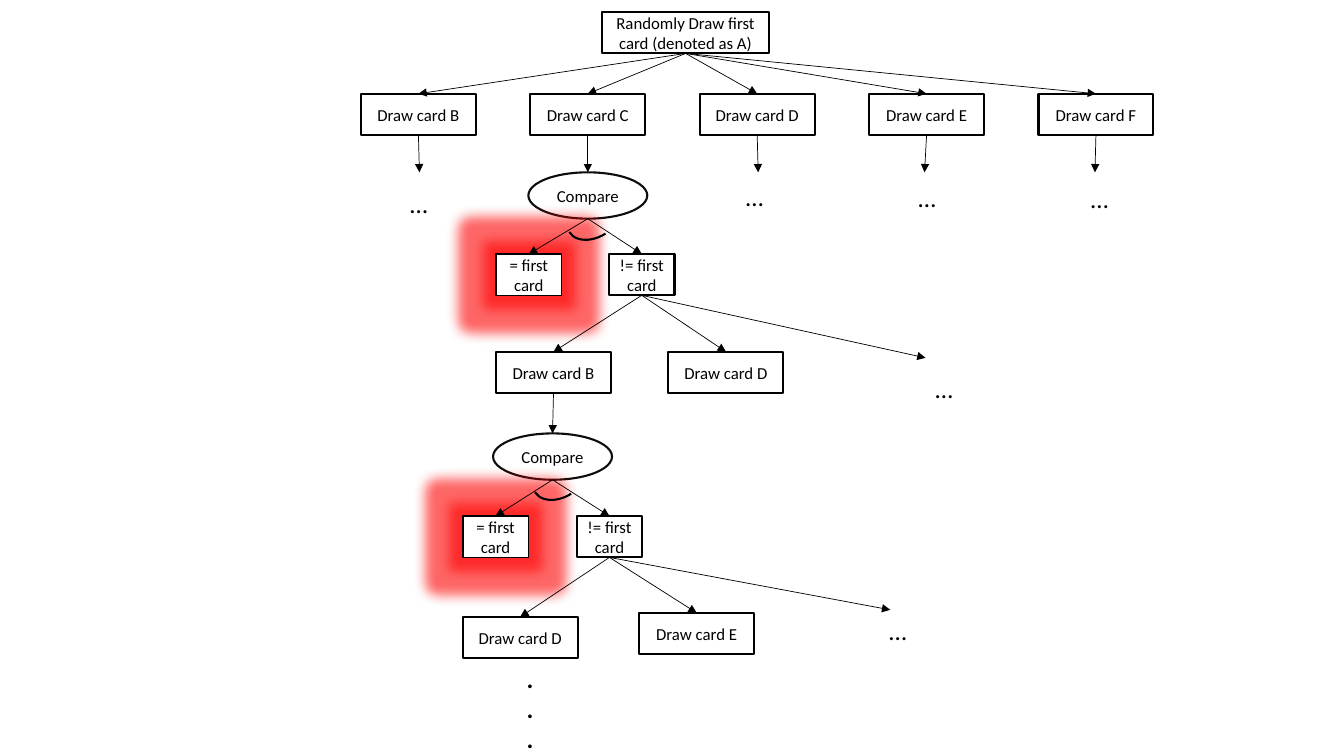
from lxml.etree import SubElement
from pptx import Presentation
from pptx.dml.color import RGBColor
from pptx.enum.shapes import MSO_CONNECTOR as Connector, MSO_SHAPE as Shape
from pptx.enum.text import MSO_ANCHOR as Anchor, MSO_AUTO_SIZE as AutoSize, PP_ALIGN as Align
from pptx.oxml.ns import qn
from pptx.util import Inches, Pt

COLORS = {"ink": "000000", "oval": "0D0D0D", "paper": "FFFFFF", "glow": "FF0000"}
FONT = "Calibri"

KINDS = {
    "root": {"shape": Shape.RECTANGLE, "size": (1.66, 0.41), "line": "ink", "weight": 1.5},
    "draw": {"shape": Shape.RECTANGLE, "size": (1.14, 0.41), "line": "ink", "weight": 1.5},
    "compare": {"shape": Shape.OVAL, "size": (1.18, 0.46), "line": "oval", "weight": 1.5},
    "equal": {"shape": Shape.RECTANGLE, "size": (0.65, 0.41), "line": "ink", "weight": 1},
    "unequal": {"shape": Shape.RECTANGLE, "size": (0.65, 0.41), "line": "ink", "weight": 1.5},
    "arc": {"shape": Shape.ARC, "size": (0.59, 0.41), "line": "ink", "weight": 1.5},
}

SECOND_CARDS = "BCDEF"
SECOND_LEFT, SECOND_STEP, SECOND_TOP = 3.58, 1.68, 0.93

NODES = {
    "first": ("root", "Randomly Draw first card (denoted as A)", 5.97, 0.12),
    **{
        f"second {card}": ("draw", f"Draw card {card}", SECOND_LEFT + i * SECOND_STEP, SECOND_TOP)
        for i, card in enumerate(SECOND_CARDS)
    },
    "compare 1": ("compare", "Compare", 5.24, 1.71),
    "equal 1": ("equal", "= first card", 4.92, 2.52),
    "unequal 1": ("unequal", "!= first card", 6.04, 2.52),
    "third B": ("draw", "Draw card B", 4.92, 3.49),
    "third D": ("draw", "Draw card D", 6.63, 3.49),
    "compare 2": ("compare", "Compare", 4.89, 4.3),
    "equal 2": ("equal", "= first card", 4.59, 5.12),
    "unequal 2": ("unequal", "!= first card", 5.72, 5.12),
    "fourth D": ("draw", "Draw card D", 4.59, 6.12),
    "fourth E": ("draw", "Draw card E", 6.34, 6.08),
}
ARCS = [(5.6, 1.94), (5.26, 4.52)]
ARC_ROTATION = 147.6

BRANCHES = {
    "first": [f"second {card}" for card in SECOND_CARDS],
    "second B": [(4.16, 1.71)],
    "second C": ["compare 1"],
    "second D": [(7.52, 1.71)],
    "second E": [(9.17, 1.71)],
    "second F": [(10.86, 1.71)],
    "compare 1": ["equal 1", "unequal 1"],
    "unequal 1": ["third B", "third D", (9.18, 3.55)],
    "third B": ["compare 2"],
    "compare 2": ["equal 2", "unequal 2"],
    "unequal 2": ["fourth D", "fourth E", (8.83, 6.05)],
}

ELLIPSES = [(3.97, 1.82), (7.3, 1.75), (9.01, 1.76), (10.72, 1.77), (9.18, 3.65), (8.72, 6.06)]
CONTINUATION = (5.13, 6.53, 0.91, 1.01)


def color(name):
    return RGBColor.from_string(COLORS[name])


def write(frame, lines, align, **formats):
    frame.word_wrap = True
    frame.text = "\n".join(lines)
    for paragraph in frame.paragraphs:
        paragraph.alignment = align
        for key, value in {"name": FONT, **formats}.items():
            setattr(paragraph.font, key, value)
        paragraph.font.color.rgb = color("ink")


def add_outline(slide, kind, left, top):
    look = KINDS[kind]
    outline = slide.shapes.add_shape(look["shape"], *map(Inches, (left, top, *look["size"])))
    outline.shadow.inherit = False
    outline.fill.background()
    outline.line.color.rgb = color(look["line"])
    outline.line.width = Pt(look["weight"])
    return outline


def add_glow(box):
    box.fill.solid()
    box.fill.fore_color.rgb = color("paper")
    effects = box._element.spPr.find(qn("a:effectLst"))
    glow = SubElement(effects, qn("a:glow"), rad=str(Pt(18)))
    tint = SubElement(glow, qn("a:srgbClr"), val=COLORS["glow"])
    SubElement(tint, qn("a:alpha"), val="60000")


def add_node(slide, kind, label, left, top):
    node = add_outline(slide, kind, left, top)
    if kind == "equal":
        add_glow(node)
    node.text_frame.vertical_anchor = Anchor.MIDDLE
    write(node.text_frame, [label], Align.CENTER, size=Pt(12))


def edge(name, below):
    kind, _, left, top = NODES[name]
    width, height = KINDS[kind]["size"]
    return left + width / 2, top + height * below


def add_arrow(slide, start, end):
    arrow = slide.shapes.add_connector(Connector.STRAIGHT, *map(Inches, (*start, *end)))
    arrow.line.color.rgb = color("ink")
    arrow.line.width = Pt(0.5)
    SubElement(arrow.line._get_or_add_ln(), qn("a:tailEnd"), type="triangle")
    SubElement(arrow._element.spPr, qn("a:effectLst"))


def add_dots(slide, place, lines, **formats):
    dots = slide.shapes.add_textbox(*map(Inches, place))
    write(dots.text_frame, lines, Align.LEFT, size=Pt(18), **formats)
    dots.text_frame.auto_size = AutoSize.SHAPE_TO_FIT_TEXT


def main():
    deck = Presentation()
    deck.slide_width, deck.slide_height = Inches(13.33), Inches(7.5)
    slide = deck.slides.add_slide(deck.slide_layouts[6])
    for node in NODES.values():
        add_node(slide, *node)
    for parent, children in BRANCHES.items():
        for child in children:
            end = edge(child, 0) if child in NODES else child
            add_arrow(slide, edge(parent, 1), end)
    for place in ARCS:
        add_outline(slide, "arc", *place).rotation = ARC_ROTATION
    for place in ELLIPSES:
        add_dots(slide, (*place, 0.92, 0.4), ["…"])
    add_dots(slide, CONTINUATION, [".", ".", "."], bold=True, italic=True)
    deck.save("out.pptx")


if __name__ == "__main__":
    main()
